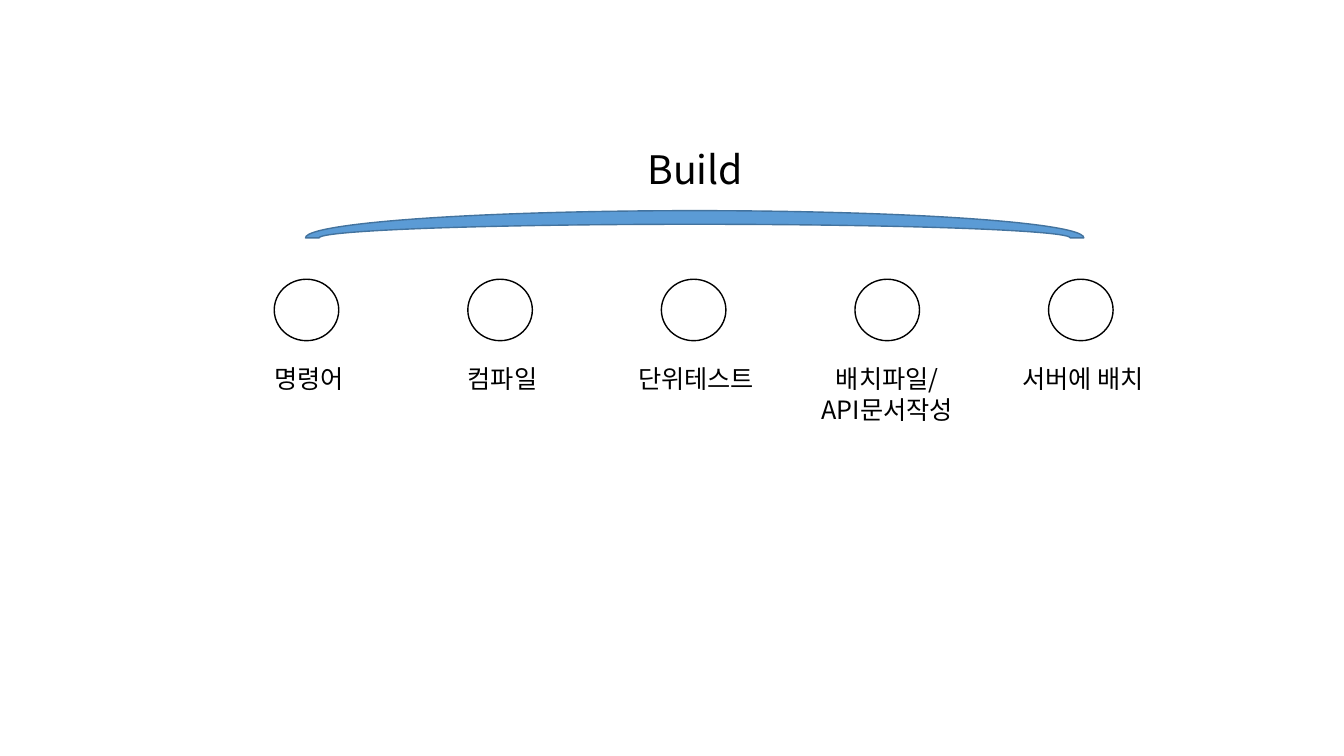
from dataclasses import dataclass

import pptx
import pptx.dml.color
import pptx.enum.shapes
import pptx.enum.text
import pptx.oxml.ns
import pptx.shapes.autoshape
import pptx.slide
import pptx.util
from lxml import etree

Inches = pptx.util.Inches
RGBColor = pptx.dml.color.RGBColor
MSO_SHAPE = pptx.enum.shapes.MSO_SHAPE

FONT = "Noto Sans CJK KR"
LINE_HEIGHT = 1.25
BLACK = RGBColor(0x00, 0x00, 0x00)
WHITE = RGBColor(0xFF, 0xFF, 0xFF)
ARC_FILL = RGBColor(0x5B, 0x9B, 0xD5)
ARC_LINE = RGBColor(0x43, 0x73, 0x9E)

STEP_PITCH = 1.92
CIRCLE_LEFT, CIRCLE_TOP = 2.72, 2.77
LABEL_LEFT, LABEL_TOP = 2.23, 3.54


@dataclass
class Step:
    """One stage of the build, with the size of its label box."""
    label: str
    width: float = 1.67
    height: float = 0.4


STEPS = [
    Step("명령어"),
    Step("컴파일"),
    Step("단위테스트"),
    Step("배치파일/\nAPI문서작성", 1.62, 0.71),
    Step("서버에 배치"),
]


def add_outlined(s: pptx.slide.Slide, kind: MSO_SHAPE, left: float, top: float,
                 width: float, height: float, fill: RGBColor,
                 line: RGBColor) -> pptx.shapes.autoshape.Shape:
    """Add a filled preset shape with a one-point outline."""
    sp = s.shapes.add_shape(kind, Inches(left), Inches(top),
                            Inches(width), Inches(height))
    sp.shadow.inherit = False
    sp.fill.solid()
    sp.fill.fore_color.rgb = fill
    sp.line.color.rgb = line
    sp.line.width = pptx.util.Pt(1)
    return sp


def add_label(s: pptx.slide.Slide, text: str, left: float, top: float,
              width: float, height: float, size: float) -> None:
    """Add centred black text."""
    box = s.shapes.add_textbox(Inches(left), Inches(top),
                               Inches(width), Inches(height))
    tf = box.text_frame
    tf.word_wrap = True
    tf.text = text
    for p in tf.paragraphs:
        p.alignment = pptx.enum.text.PP_ALIGN.CENTER
        p.line_spacing = pptx.util.Pt(size * LINE_HEIGHT)
        for r in p.runs:
            r.font.name = FONT
            r.font.size = pptx.util.Pt(size)
            r.font.color.rgb = BLACK
            ea = etree.SubElement(r.font._element, pptx.oxml.ns.qn("a:ea"))
            ea.set("typeface", FONT)


def main() -> None:
    """Build the slide and save it."""
    prs = pptx.Presentation()
    prs.slide_width, prs.slide_height = Inches(13.33), Inches(7.5)
    s = prs.slides.add_slide(prs.slide_layouts[6])

    for i, step in enumerate(STEPS):
        shift = i * STEP_PITCH
        add_outlined(s, MSO_SHAPE.OVAL, CIRCLE_LEFT + shift, CIRCLE_TOP,
                     0.64, 0.61, WHITE, BLACK)
        add_label(s, step.label, LABEL_LEFT + shift, LABEL_TOP,
                  step.width, step.height, 18)

    add_outlined(s, MSO_SHAPE.BLOCK_ARC, 3.03, 2.09, 7.72, 0.54,
                 ARC_FILL, ARC_LINE)
    add_label(s, "Build", 6.06, 1.37, 1.67, 0.57, 28)
    prs.save("out.pptx")


main()
